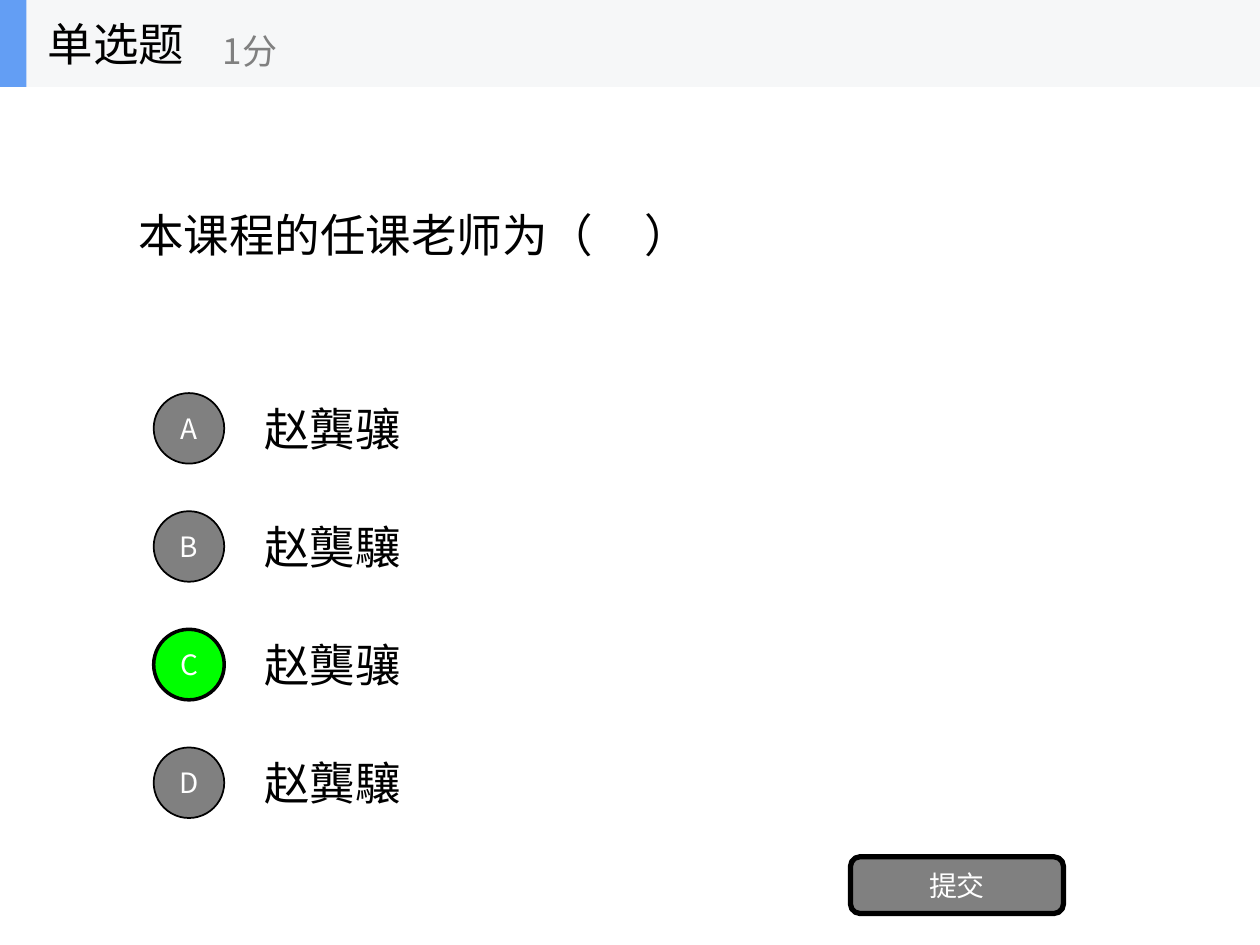
from dataclasses import dataclass

import pptx
import pptx.dml.color
import pptx.enum.shapes
import pptx.enum.text
import pptx.oxml.ns
import pptx.util
from lxml import etree

WIDTH, HEIGHT = 10, 7.5
FONT = "Noto Sans CJK SC"
COLORS = {
    "ink": "000000",
    "white": "FFFFFF",
    "gray": "808080",
    "correct": "00FF00",
    "band": "F6F7F8",
    "accent": "639EF4",
}
SHAPES = pptx.enum.shapes.MSO_SHAPE
ALIGN = pptx.enum.text.PP_ALIGN

HEADER_HEIGHT = 0.69
ROW_STEP = HEIGHT / 8
ROW_HEIGHT = 0.7
FIRST_ROW_TOP = 3.05
BADGE_SIZE = 0.56
BADGE_CENTER = WIDTH * 0.15
ANSWER_LEFT = WIDTH * 0.2


@dataclass(frozen=True)
class Box:
    left: float
    top: float
    width: float
    height: float

    def emu(self) -> list:
        return [pptx.util.Inches(v)
                for v in (self.left, self.top, self.width, self.height)]


@dataclass(frozen=True)
class Option:
    letter: str
    answer: str
    correct: bool = False


OPTIONS = [
    Option("A", "赵龔骧"),
    Option("B", "赵龑驤"),
    Option("C", "赵龑骧", correct=True),
    Option("D", "赵龔驤"),
]


def rgb(color: str) -> pptx.dml.color.RGBColor:
    return pptx.dml.color.RGBColor.from_string(COLORS[color])


def write(frame, text: str, size: float, color: str, align=ALIGN.LEFT,
          wrap: bool = True) -> None:
    """Fill a text frame with one vertically centred line."""
    frame.text = text
    frame.word_wrap = wrap
    frame.vertical_anchor = pptx.enum.text.MSO_ANCHOR.MIDDLE
    paragraph = frame.paragraphs[0]
    paragraph.alignment = align
    for run in paragraph.runs:
        run.font.size = pptx.util.Pt(size)
        run.font.name = FONT
        run.font.color.rgb = rgb(color)
        east_asian = etree.SubElement(run.font._element, pptx.oxml.ns.qn("a:ea"))
        east_asian.set("typeface", FONT)


def add_text(shapes, box: Box, text: str, size: float = 26,
             color: str = "ink", wrap: bool = True) -> None:
    write(shapes.add_textbox(*box.emu()).text_frame, text, size, color, wrap=wrap)


def add_block(shapes, kind, box: Box, fill: str, line_width: float = 0,
              label: str = "") -> None:
    block = shapes.add_shape(kind, *box.emu())
    block.shadow.inherit = False
    block.fill.solid()
    block.fill.fore_color.rgb = rgb(fill)
    if line_width:
        block.line.color.rgb = rgb("ink")
        block.line.width = pptx.util.Pt(line_width)
    else:
        block.line.fill.background()
    if label:
        frame = block.text_frame
        frame.margin_left = frame.margin_right = 0
        frame.margin_top = frame.margin_bottom = 0
        write(frame, label, 16, "white", ALIGN.CENTER)


def add_header(shapes) -> None:
    header = shapes.add_group_shape().shapes
    add_block(header, SHAPES.RECTANGLE, Box(0, 0, WIDTH, HEADER_HEIGHT), "band")
    add_block(header, SHAPES.RECTANGLE, Box(0, 0, 0.21, HEADER_HEIGHT), "accent")
    add_text(header, Box(0.28, 0, 2.08, HEADER_HEIGHT), "单选题", wrap=False)
    add_text(header, Box(1.67, 0.12, 2.5, 0.56), "1分", 20, "gray", wrap=False)


def add_option(shapes, row: int, option: Option) -> None:
    top = FIRST_ROW_TOP + row * ROW_STEP
    add_text(shapes, Box(ANSWER_LEFT, top, WIDTH * 0.7, ROW_HEIGHT), option.answer)
    badge = Box(BADGE_CENTER - BADGE_SIZE / 2,
                top + (ROW_HEIGHT - BADGE_SIZE) / 2, BADGE_SIZE, BADGE_SIZE)
    add_block(shapes, SHAPES.OVAL, badge,
              "correct" if option.correct else "gray",
              2 if option.correct else 1, option.letter)


def main() -> None:
    deck = pptx.Presentation()
    deck.slide_width = pptx.util.Inches(WIDTH)
    deck.slide_height = pptx.util.Inches(HEIGHT)
    shapes = deck.slides.add_slide(deck.slide_layouts[6]).shapes

    add_text(shapes, Box(WIDTH * 0.1, HEADER_HEIGHT, WIDTH * 0.8, 2.34),
             "本课程的任课老师为（     ）")
    for row, option in enumerate(OPTIONS):
        add_option(shapes, row, option)
    add_block(shapes, SHAPES.ROUNDED_RECTANGLE, Box(6.75, 6.8, 1.69, 0.45),
              "gray", 3, "提交")
    add_header(shapes)
    deck.save("out.pptx")


if __name__ == "__main__":
    main()
